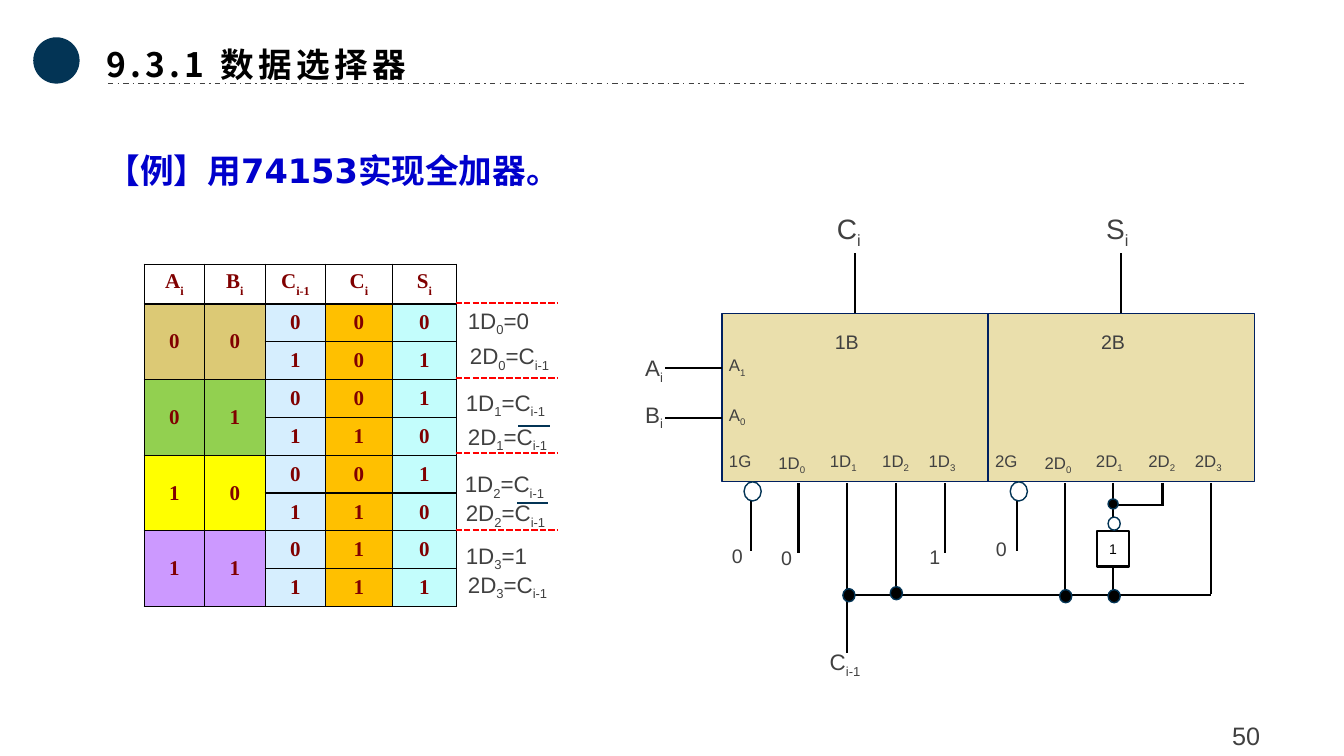
from dataclasses import dataclass
from itertools import product

from lxml.etree import SubElement
from pptx import Presentation
from pptx.dml.color import RGBColor
from pptx.enum.dml import MSO_LINE
from pptx.enum.shapes import MSO_CONNECTOR, MSO_SHAPE
from pptx.enum.text import MSO_ANCHOR as ANCHOR, PP_ALIGN as ALIGN
from pptx.oxml.ns import qn
from pptx.shapes.autoshape import Shape
from pptx.shapes.connector import Connector
from pptx.slide import Slide
from pptx.text.text import TextFrame
from pptx.util import Inches, Pt

BLACK = RGBColor(0x00, 0x00, 0x00)
WHITE = RGBColor(0xFF, 0xFF, 0xFF)
GRAY = RGBColor(0x40, 0x40, 0x40)
NAVY = RGBColor(0x03, 0x34, 0x55)
EDGE = RGBColor(0x00, 0x20, 0x60)
BLUE = RGBColor(0x00, 0x00, 0xCC)
RED = RGBColor(0xFF, 0x00, 0x00)
MAROON = RGBColor(0x80, 0x00, 0x00)
CHIP = RGBColor(0xEA, 0xDF, 0xAC)
PAIR_FILLS = (RGBColor(0xDC, 0xC9, 0x75), RGBColor(0x92, 0xD0, 0x50),
              RGBColor(0xFF, 0xFF, 0x00), RGBColor(0xCC, 0x99, 0xFF))
COLUMN_FILLS = (RGBColor(0xD6, 0xEE, 0xFE), RGBColor(0xFF, 0xC0, 0x00),
                RGBColor(0xC3, 0xFD, 0xFC))
CJK = "Noto Sans CJK SC"
CHIP_TOP, CHIP_WIDTH, CHIP_HEIGHT = 3.11, 2.64, 1.67
PIN_TOP, PIN_END = 4.79, 5.49
PIN_OFFSETS = (0.76, 1.24, 1.73, 2.21)


@dataclass(frozen=True)
class Label:
    text: str
    left: float
    top: float
    width: float
    height: float
    size: float = 16


@dataclass(frozen=True)
class Wire:
    x1: float
    y1: float
    x2: float
    y2: float
    color: RGBColor = BLACK
    width: float = 1.5
    dash: MSO_LINE | None = None


@dataclass(frozen=True)
class Dot:
    left: float
    top: float
    width: float = 0.12
    height: float = 0.13
    fill: RGBColor = BLACK


def write(tf: TextFrame, text: str, *, size: float, font: str = "Arial",
          color: RGBColor = GRAY, bold: bool = False, align: ALIGN = ALIGN.LEFT,
          leading: float = 1.2, drop: int = 25, tracking: int = 0) -> None:
    p = tf.paragraphs[0]
    p.alignment = align
    p.line_spacing = leading
    for i, part in enumerate(text.split("_")):
        if not part:
            continue
        r = p.add_run()
        r.text = part
        r.font.size, r.font.name, r.font.bold = Pt(size), font, bold
        r.font.color.rgb = color
        rpr = r._r.get_or_add_rPr()
        SubElement(rpr, qn("a:ea")).set("typeface", CJK)
        if i % 2:
            rpr.set("baseline", str(-drop * 1000))
        if tracking:
            rpr.set("spc", str(tracking * 100))


def set_frame(tf: TextFrame, anchor: ANCHOR, inset: bool) -> None:
    tf.word_wrap = True
    tf.vertical_anchor = anchor
    tf.margin_left = tf.margin_right = Inches(0.1 if inset else 0)
    tf.margin_top = tf.margin_bottom = Inches(0.05 if inset else 0)


def add_label(s: Slide, label: Label, anchor: ANCHOR = ANCHOR.MIDDLE,
              inset: bool = False, **fmt) -> None:
    box = s.shapes.add_textbox(*map(Inches, (label.left, label.top, label.width, label.height)))
    set_frame(box.text_frame, anchor, inset)
    write(box.text_frame, label.text, size=label.size, **fmt)


def add_wire(s: Slide, wire: Wire) -> Connector:
    line = s.shapes.add_connector(MSO_CONNECTOR.STRAIGHT,
                                  *map(Inches, (wire.x1, wire.y1, wire.x2, wire.y2)))
    line.line.color.rgb, line.line.width = wire.color, Pt(wire.width)
    if wire.dash:
        line.line.dash_style = wire.dash
    SubElement(line._element.spPr, qn("a:effectLst"))
    return line


def add_block(s: Slide, kind: MSO_SHAPE, left: float, top: float, width: float, height: float,
              fill: RGBColor, edge: RGBColor, edge_width: float = 1) -> Shape:
    sp = s.shapes.add_shape(kind, *map(Inches, (left, top, width, height)))
    sp.shadow.inherit = False
    sp.fill.solid()
    sp.fill.fore_color.rgb = fill
    sp.line.color.rgb, sp.line.width = edge, Pt(edge_width)
    return sp


def add_dot(s: Slide, dot: Dot) -> None:
    add_block(s, MSO_SHAPE.OVAL, dot.left, dot.top, dot.width, dot.height, dot.fill, NAVY)


def add_truth_table(s: Slide) -> None:
    header = ("A_i", "B_i", "C_i-1", "C_i", "S_i")
    bits = [(a, b, c, (a + b + c) // 2, (a + b + c) % 2) for a, b, c in product((0, 1), repeat=3)]
    rows = [header, *bits]
    table = s.shapes.add_table(len(rows), len(header), *map(Inches, (1.43, 2.62, 3.1, 3.38))).table
    table.first_row = table.horz_banding = False
    for column, width in zip(table.columns, (0.6, 0.6, 0.6, 0.66, 0.64)):
        column.width = Inches(width)
    for i, row in enumerate(rows):
        table.rows[i].height = Inches(3.38) // len(rows)
        for j, value in enumerate(row):
            cell = table.cell(i, j)
            tcpr = cell._tc.get_or_add_tcPr()
            for side in ("lnL", "lnR", "lnT", "lnB"):
                ln = SubElement(tcpr, qn(f"a:{side}"), w=str(Pt(1)))
                SubElement(SubElement(ln, qn("a:solidFill")), qn("a:srgbClr"), val=str(BLACK))
            cell.vertical_anchor = ANCHOR.MIDDLE
            if i:
                cell.fill.solid()
                cell.fill.fore_color.rgb = PAIR_FILLS[(i - 1) // 2] if j < 2 else COLUMN_FILLS[j - 2]
            else:
                cell.fill.background()
            if j < 2 and i and i % 2 == 0:
                table.cell(i - 1, j).merge(cell)
            else:
                write(cell.text_frame, str(value), size=15, font="Times New Roman", color=MAROON,
                      bold=True, align=ALIGN.CENTER, leading=1.0, drop=30)


def add_mux(s: Slide, number: int, left: float, output: Label,
            pin_ends: tuple[float, ...]) -> list[Connector]:
    chip = add_block(s, MSO_SHAPE.RECTANGLE, left, CHIP_TOP, CHIP_WIDTH, CHIP_HEIGHT, CHIP, EDGE)
    pins = [add_wire(s, Wire(left + x, PIN_TOP, left + x, end))
            for x, end in zip(PIN_OFFSETS, pin_ends)]
    add_wire(s, Wire(left + 0.29, 4.84, left + 0.29, 5.47))
    add_dot(s, Dot(left + 0.22, 4.78, 0.17, 0.19, WHITE))
    add_label(s, Label(f"{number}B", left + 1.12, 3.24, 0.52, 0.26, 14))
    add_label(s, Label(f"{number}G", left + 0.07, 4.37, 0.45, 0.37, 12))
    for i, (x, top) in enumerate(((0.56, 4.4), (1.07, 4.38), (1.59, 4.38), (2.05, 4.38))):
        add_label(s, Label(f"{number}D_{i}", left + x, top, 0.62, 0.37, 12))
    middle = left + CHIP_WIDTH / 2
    add_wire(s, Wire(middle, CHIP_TOP, middle, 2.51)).begin_connect(chip, 0)
    add_label(s, output)
    return pins


EQUATIONS = (
    Label("1D_0_=0", 4.64, 3.02, 0.77, 0.29), Label("2D_0_=C_i-1", 4.66, 3.37, 1.15, 0.29),
    Label("1D_1_=C_i-1", 4.62, 3.82, 1.07, 0.32), Label("2D_1_=C_i-1", 4.64, 4.17, 1.15, 0.29),
    Label("1D_2_=C_i-1", 4.61, 4.64, 1.07, 0.29), Label("2D_2_=C_i-1", 4.62, 4.93, 1.15, 0.29),
    Label("1D_3_=1", 4.62, 5.35, 1.07, 0.29), Label("2D_3_=C_i-1", 4.64, 5.64, 1.15, 0.29),
)
NOTE_LINES = (
    Wire(5.14, 4.23, 5.46, 4.23, NAVY), Wire(5.13, 4.99, 5.44, 4.99, NAVY),
    *(Wire(4.52, y, 5.53, y, RED, dash=MSO_LINE.SQUARE_DOT) for y in (3.01, 3.75, 4.49, 5.26)),
)
INPUTS = (
    Label("A_1", 7.23, 3.43, 0.49, 0.37, 12), Label("A_0", 7.23, 3.92, 0.49, 0.37, 12),
    Label("A_i", 6.4, 3.36, 0.44, 0.55), Label("B_i", 6.4, 3.85, 0.44, 0.5),
    Label("C_i-1", 8.23, 6.28, 0.66, 0.55),
)
CONSTANTS = tuple(Label(bit, x, y, 0.47, 0.57, 14) for bit, x, y in (
    ("0", 7.16, 5.35), ("0", 7.65, 5.37), ("1", 9.12, 5.36), ("0", 9.78, 5.28)))
WIRES = (
    Wire(7.16, 3.65, 6.6, 3.65), Wire(7.16, 4.15, 6.6, 4.15),
    Wire(8.4, PIN_END, 8.4, 6.48), Wire(8.89, 5.47, 8.89, 5.9), Wire(8.4, 5.9, 12.01, 5.9),
    Wire(12.01, 5.46, 12.01, 5.89), Wire(10.56, 5.45, 10.56, 5.87), Wire(11.04, 5.01, 11.52, 5.01),
)
DOTS = (
    Dot(8.36, 5.84), Dot(8.83, 5.82), Dot(10.51, 5.85), Dot(10.99, 5.85),
    Dot(10.99, 5.13, fill=WHITE), Dot(10.99, 4.95, 0.1, 0.1),
)


def main() -> None:
    prs = Presentation()
    prs.slide_width, prs.slide_height = Inches(13.33), Inches(7.5)
    s = prs.slides.add_slide(prs.slide_layouts[6])
    add_label(s, Label("50", 11.48, 7.05, 1.76, 0.43, 18), inset=True, align=ALIGN.CENTER)
    add_block(s, MSO_SHAPE.OVAL, 0.33, 0.37, 0.46, 0.46, NAVY, NAVY).line.fill.background()
    add_label(s, Label("9.3.1 数据选择器", 0.96, 0.3, 11.4, 0.59, 24), inset=True,
              font=CJK, color=BLACK, bold=True, tracking=3)
    add_wire(s, Wire(1.07, 0.83, 12.36, 0.83, GRAY, 1, MSO_LINE.DASH_DOT))
    add_label(s, Label("【例】用74153实现全加器。", 0.96, 1.44, 4.61, 0.5, 24), inset=True,
              font="DejaVu Sans", color=BLUE, bold=True, leading=1.0)
    add_truth_table(s)
    for equation in EQUATIONS:
        add_label(s, equation)
    for line in NOTE_LINES:
        add_wire(s, line)

    add_mux(s, 1, 7.16, Label("C_i", 8.3, 1.94, 0.52, 0.62, 20), (PIN_END,) * 4)
    pins = add_mux(s, 2, 9.8, Label("S_i", 10.97, 1.94, 0.52, 0.62, 20),
                   (PIN_END, 5.26, 5.02, PIN_END))
    for label in INPUTS:
        add_label(s, label)
    for constant in CONSTANTS:
        add_label(s, constant, ANCHOR.TOP, inset=True, leading=1.0)
    for wire in WIRES:
        add_wire(s, wire)
    inverter = add_block(s, MSO_SHAPE.RECTANGLE, 10.88, 5.27, 0.32, 0.35, WHITE, BLACK, 1.5)
    set_frame(inverter.text_frame, ANCHOR.MIDDLE, False)
    write(inverter.text_frame, "1", size=10, color=BLACK, align=ALIGN.CENTER, leading=1.0)
    pins[1].end_connect(inverter, 0)
    add_wire(s, Wire(11.04, 5.92, 11.04, 5.62)).end_connect(inverter, 2)
    for dot in DOTS:
        add_dot(s, dot)
    prs.save("out.pptx")


if __name__ == "__main__":
    main()
